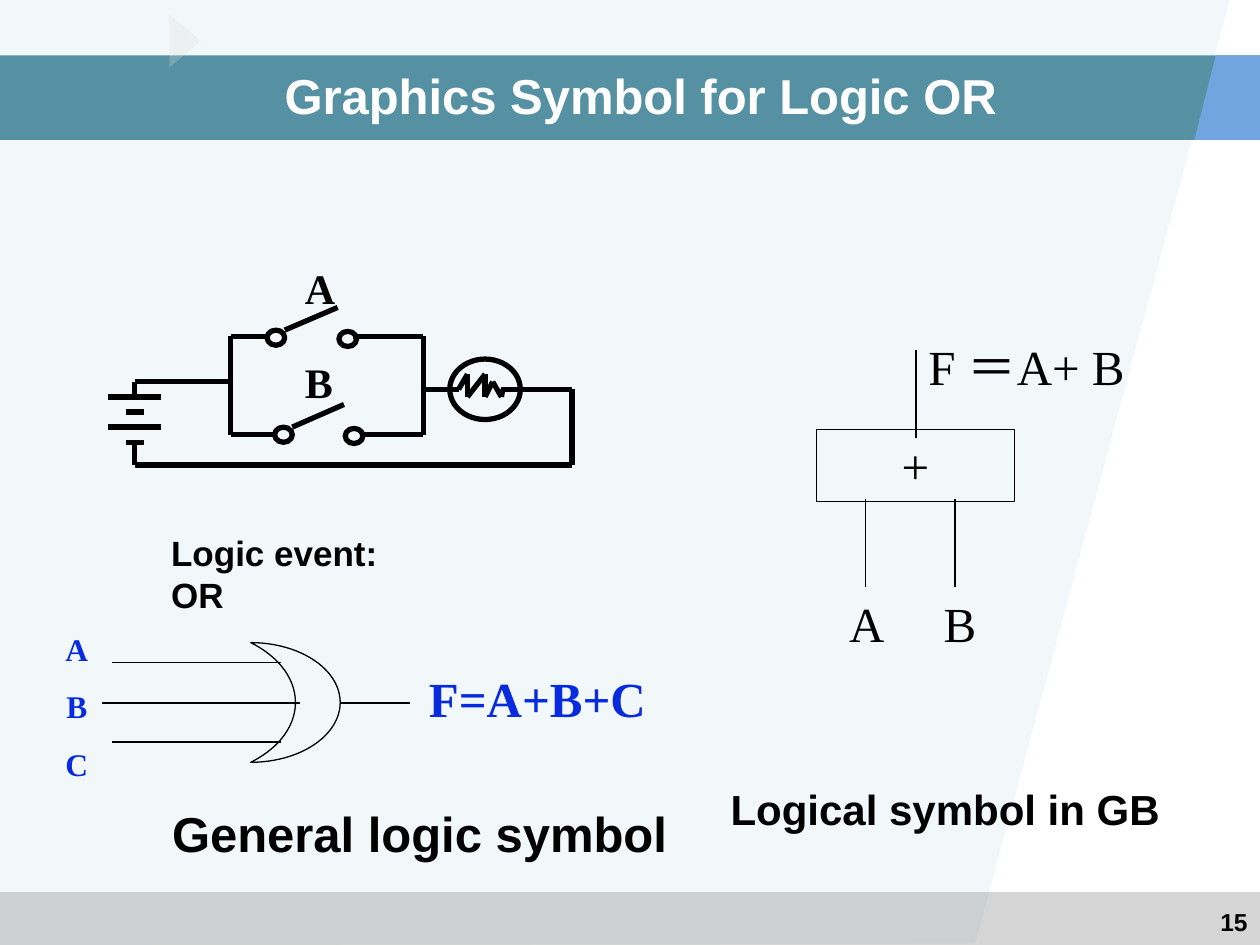
"""Build the slide on the graphics symbols for logic OR."""
from itertools import pairwise

from lxml.etree import SubElement
from pptx import Presentation
from pptx.dml.color import RGBColor
from pptx.enum.shapes import MSO_CONNECTOR, MSO_SHAPE
from pptx.enum.text import MSO_ANCHOR, PP_ALIGN
from pptx.oxml.ns import qn
from pptx.util import Inches, Pt

COLORS = {
    "black": "000000", "white": "FFFFFF", "blue": "072BDD", "pale": "9FCAD3",
    "grey": "969696", "teal": "26728A", "sky": "71A5DF", "light": "DDDDDD",
}
LEFT, CENTER, RIGHT = PP_ALIGN.LEFT, PP_ALIGN.CENTER, PP_ALIGN.RIGHT
SANS, SERIF = "Arial", "Times New Roman"


def paint(sp, color, alpha=100):
    sp.shadow.inherit = False
    sp.line.fill.background()
    sp.fill.solid()
    sp.fill.fore_color.rgb = RGBColor.from_string(COLORS[color])
    if alpha < 100:
        clr = sp.fill._xPr.find(qn("a:solidFill"))[0]
        SubElement(clr, qn("a:alpha")).set("val", str(alpha * 1000))


def write(sp, lines, size, font, bold=True, color="black", align=LEFT,
          anchor=MSO_ANCHOR.TOP, wrap=True, inset=True, gap=0):
    tf = sp.text_frame
    tf.word_wrap = wrap
    tf.vertical_anchor = anchor
    tf.margin_left = tf.margin_right = Inches(0.1 if inset else 0)
    tf.margin_top = tf.margin_bottom = Inches(0.05 if inset else 0)
    for i, text in enumerate(lines):
        p = tf.add_paragraph() if i else tf.paragraphs[0]
        p.alignment = align
        if i:
            p.space_before = Pt(gap)
        r = p.add_run()
        r.text = text
        r.font.size = Pt(size)
        r.font.name = font
        r.font.bold = bold
        r.font.color.rgb = RGBColor.from_string(COLORS[color])
    return tf


prs = Presentation()
prs.slide_width, prs.slide_height = Inches(10), Inches(7.5)
s = prs.slides.add_slide(prs.slide_layouts[6])
shapes = s.shapes

slant = [(0, 0), (9.76, 0), (7.74, 7.49), (0, 7.5)]
corner = [(9.65, 0.44), (9.48, 1.11), (10, 1.11), (10, 0.44)]
footer = [0, 7.08, 10, 0.42]
band = [0, 0.44, 10, 0.67]
for points, color, alpha, bar, bar_color, bar_alpha in [
    (slant, "pale", 13, footer, "grey", 40),
    (corner, "sky", 100, band, "teal", 77),
]:
    pts = [(Inches(x), Inches(y)) for x, y in points]
    fb = shapes.build_freeform(*pts[0])
    fb.add_line_segments(pts[1:], close=True)
    outline = fb.convert_to_shape()
    paint(outline, color, alpha)
    sp = shapes.add_shape(MSO_SHAPE.RECTANGLE, *map(Inches, bar))
    paint(sp, bar_color, bar_alpha)
    outline._element.addprevious(sp._element) if bar is band else None

arrow = shapes.add_shape(MSO_SHAPE.ISOSCELES_TRIANGLE,
                         *map(Inches, (1.26, 0.2, 0.42, 0.25)))
arrow.rotation = 90
paint(arrow, "light", 27)

for kind, box, width in [
    (MSO_SHAPE.RECTANGLE, (6.48, 3.41, 1.57, 0.57), 0.75),
    (MSO_SHAPE.MOON, (1.99, 5.1, 0.71, 0.95), 0.75),
    (MSO_SHAPE.OVAL, (3.57, 2.85, 0.56, 0.48), 3),
    (MSO_SHAPE.OVAL, (2.12, 2.62, 0.14, 0.12), 3),
    (MSO_SHAPE.OVAL, (2.69, 2.63, 0.14, 0.12), 3),
    (MSO_SHAPE.OVAL, (2.18, 3.39, 0.14, 0.12), 3),
    (MSO_SHAPE.OVAL, (2.74, 3.4, 0.14, 0.12), 3),
]:
    sp = shapes.add_shape(kind, *map(Inches, box))
    sp.shadow.inherit = False
    sp.fill.background()
    sp.line.color.rgb = RGBColor.from_string(COLORS["black"])
    sp.line.width = Pt(width)
    if kind == MSO_SHAPE.MOON:
        sp.rotation = 180
    if kind == MSO_SHAPE.RECTANGLE:
        write(sp, ["+"], 28, SERIF, False, align=CENTER)

leads = [
    [(6.87, 3.96), (6.87, 4.66)],
    [(7.58, 3.96), (7.58, 4.66)],
    [(7.27, 2.78), (7.27, 3.48)],
    [(2.7, 5.58), (3.25, 5.58)],
    [(0.89, 5.26), (2.23, 5.26)],
    [(0.81, 5.58), (2.38, 5.58)],
    [(0.89, 5.89), (2.23, 5.89)],
]
battery = [[(1.07 - half, y), (1.07 + half, y)] for half, y in
           [(0.21, 3.15), (0.07, 3.27), (0.21, 3.39), (0.07, 3.51)]]
wires = battery + [
    [(2.26, 2.62), (2.68, 2.44)],
    [(2.32, 3.39), (2.73, 3.21)],
    [(2.8, 2.67), (3.36, 2.67), (3.36, 3.45), (2.87, 3.45)],
    [(2.18, 3.45), (1.83, 3.45), (1.83, 2.67), (2.11, 2.67)],
    [(1.83, 3.03), (1.07, 3.03), (1.07, 3.15)],
    [(1.07, 3.51), (1.07, 3.69), (4.54, 3.69), (4.54, 3.09), (3.98, 3.09)],
    [(3.36, 3.09), (3.64, 3.09), (3.71, 2.97), (3.71, 3.15), (3.85, 2.97),
     (3.85, 3.15), (3.91, 3.03), (3.98, 3.15), (3.99, 3.09)],
]
for width, runs in [(0.75, leads), (3, wires)]:
    for run in runs:
        for start, end in pairwise(run):
            line = shapes.add_connector(MSO_CONNECTOR.STRAIGHT,
                                        *map(Inches, start + end))
            line.line.color.rgb = RGBColor.from_string(COLORS["black"])
            line.line.width = Pt(width)
            SubElement(line._element.spPr, qn("a:effectLst"))

for box, lines, size, font, style in [
    ((0.5, 0.5, 9.17, 0.5), ["Graphics Symbol for Logic OR"], 28, SANS,
     {"color": "white", "align": CENTER, "anchor": MSO_ANCHOR.MIDDLE}),
    ((7.67, 7.15, 2.33, 0.35), ["15"], 14, SANS, {"align": RIGHT}),
    ((5.7, 6.17, 3.8, 0.5), ["Logical symbol in GB"], 24, SANS, {}),
    ((1.08, 6.33, 4.5, 0.57), ["General logic symbol"], 28, SANS,
     {"align": CENTER}),
    ((1.26, 4.17, 2.33, 0.44), ["Logic event: OR"], 20, SANS,
     {"wrap": False}),
    ((7.27, 2.62, 2.28, 0.57), ["F ＝A+ B"], 28, SERIF, {"bold": False}),
    ((3.23, 5.26, 2.07, 0.57), ["F=A+B+C"], 28, SERIF,
     {"color": "blue", "align": CENTER}),
    ((0.42, 4.95, 0.38, 1.32), ["A", "B", "C"], 18, SERIF,
     {"color": "blue", "align": CENTER, "gap": 11.2}),
    ((2.42, 2.08, 0.24, 0.4), ["A"], 24, SERIF,
     {"wrap": False, "inset": False}),
    ((2.42, 2.83, 0.22, 0.4), ["B"], 24, SERIF,
     {"wrap": False, "inset": False}),
]:
    write(shapes.add_textbox(*map(Inches, box)), lines, size, font, **style)

inputs = shapes.add_textbox(*map(Inches, (6.64, 4.66, 1.22, 0.57)))
tf = write(inputs, ["A\tB"], 28, SERIF, False)
tabs = SubElement(tf.paragraphs[0]._p.get_or_add_pPr(), qn("a:tabLst"))
tab = SubElement(tabs, qn("a:tab"))
tab.set("pos", str(Inches(0.75)))
tab.set("algn", "l")

prs.save("out.pptx")
